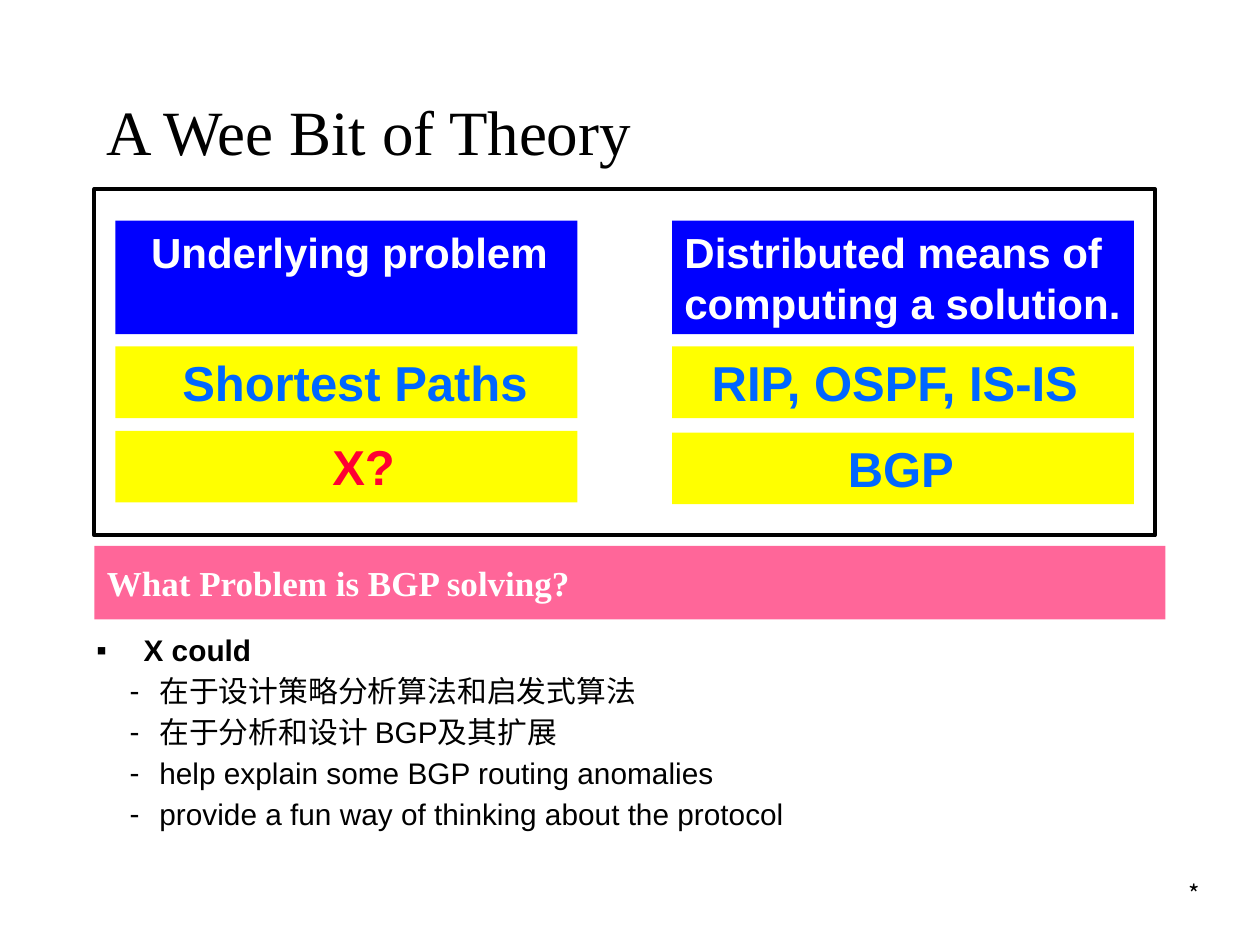
import pptx
import pptx.util
import pptx.dml.color
import pptx.enum.shapes
import pptx.enum.text
import pptx.oxml
import pptx.oxml.ns

Pt = pptx.util.Pt
Anchor = pptx.enum.text.MSO_ANCHOR
Align = pptx.enum.text.PP_ALIGN

TITLE = {"name": "Times New Roman", "size": Pt(36), "bold": False}
BANNER = {"name": "Times New Roman", "size": Pt(20), "bold": True}
HEADING = {"name": "Arial", "size": Pt(24), "bold": True}
ANSWER = {"name": "Arial", "size": Pt(28), "bold": True}
POINT = {"name": "Arial", "size": Pt(17), "bold": True}
SUBPOINT = {**POINT, "bold": False}
FOOTER = {"name": "Noto Sans CJK SC", "size": Pt(14), "bold": False}


def color(code):
    return pptx.dml.color.RGBColor.from_string(code)


def add_span(para, words, style, ink):
    span = para.add_run()
    span.text = words
    for key, value in style.items():
        setattr(span.font, key, value)
    span.font.color.rgb = color(ink)
    return span


def add_panel(page, box, fill=None, line=None):
    panel = page.shapes.add_shape(
        pptx.enum.shapes.MSO_SHAPE.RECTANGLE, *[Pt(length) for length in box])
    panel.shadow.inherit = False
    if fill:
        panel.fill.solid()
        panel.fill.fore_color.rgb = color(fill)
    else:
        panel.fill.background()
    if line:
        panel.line.color.rgb = color(line)
        panel.line.width = Pt(2.25)
    else:
        panel.line.fill.background()
    return panel


def write(shape, lines, style, ink, indent=0, anchor=Anchor.TOP, align=Align.LEFT, wrap=True):
    frame = shape.text_frame
    frame.word_wrap = wrap
    frame.vertical_anchor = anchor
    for index, words in enumerate(lines):
        para = frame.add_paragraph() if index else frame.paragraphs[0]
        para.alignment = align
        if indent:
            para._p.get_or_add_pPr().set("marL", str(Pt(indent)))
        add_span(para, words, style, ink)


def add_label(page, box, words, style, anchor=Anchor.TOP, align=Align.LEFT):
    label = page.shapes.add_textbox(*[Pt(length) for length in box])
    write(label, [words], style, "000000", anchor=anchor, align=align)


def add_comparison(page, box):
    left, top, width, height = box
    columns = [
        (12, [(18, ["Underlying problem"], 13.3, "FFFFFF"),
              (90, ["Shortest Paths"], 31.1, "0066FF"),
              (138.2, ["X?"], 116.8, "FF0033")]),
        (330, [(18, ["Distributed means of", "computing a solution."], 0, "FFFFFF"),
               (90, ["RIP, OSPF, IS-IS"], 15.6, "0066FF"),
               (139.2, ["BGP"], 93.4, "0066FF")]),
    ]
    for across, cells in columns:
        for row, (down, lines, indent, ink) in enumerate(cells):
            fill, tall, style = ("FFFF00", 41, ANSWER) if row else ("0000FF", 65, HEADING)
            cell = add_panel(page, (left + across, top + down, 264, tall), fill)
            write(cell, lines, style, ink, indent, wrap=len(lines) == 1)
    add_panel(page, box, line="000000")


def add_bullet(para, mark, margin, hang):
    props = para._p.get_or_add_pPr()
    props.set("marL", str(Pt(margin)))
    props.set("indent", str(Pt(-hang)))
    space = pptx.oxml.ns.nsdecls("a")
    for xml in (f'<a:buClr {space}><a:srgbClr val="000000"/></a:buClr>',
                f'<a:buFont {space} typeface="Arial"/>',
                f'<a:buChar {space} char="{mark}"/>'):
        props.append(pptx.oxml.parse_xml(xml))


def add_points(page, box, heading, points):
    frame = page.shapes.add_textbox(*[Pt(length) for length in box]).text_frame
    frame.word_wrap = True
    for index, words in enumerate([heading] + points):
        para = frame.add_paragraph() if index else frame.paragraphs[0]
        para.line_spacing = 0.9
        para.space_before = Pt(5 if index else 0)
        if index:
            para.level = 1
            add_bullet(para, "-", 36, 17)
        else:
            add_bullet(para, "▪", 27, 27)
        span = add_span(para, words, SUBPOINT if index else POINT, "000000")
        span.font._element.append(pptx.oxml.parse_xml(
            f'<a:ea {pptx.oxml.ns.nsdecls("a")} typeface="Noto Sans CJK SC"/>'))


def main():
    deck = pptx.Presentation()
    deck.slide_width, deck.slide_height = Pt(720), Pt(540)
    page = deck.slides.add_slide(deck.slide_layouts[6])
    add_label(page, (651, 499, 42, 24), "*", FOOTER, align=Align.RIGHT)
    add_label(page, (54, 47.5, 612, 54), "A Wee Bit of Theory", TITLE, Anchor.MIDDLE)
    add_points(page, (48, 360, 625, 114), "X could", [
        "在于设计策略分析算法和启发式算法",
        "在于分析和设计 BGP及其扩展",
        "help explain some BGP routing anomalies",
        "provide a fun way of thinking about the protocol",
    ])
    banner = add_panel(page, (54, 312, 612, 42), "FF6699")
    write(banner, ["What Problem is BGP solving?"], BANNER, "FFFFFF", anchor=Anchor.MIDDLE)
    add_comparison(page, (54, 108, 606, 198))
    deck.save("out.pptx")


if __name__ == "__main__":
    main()
